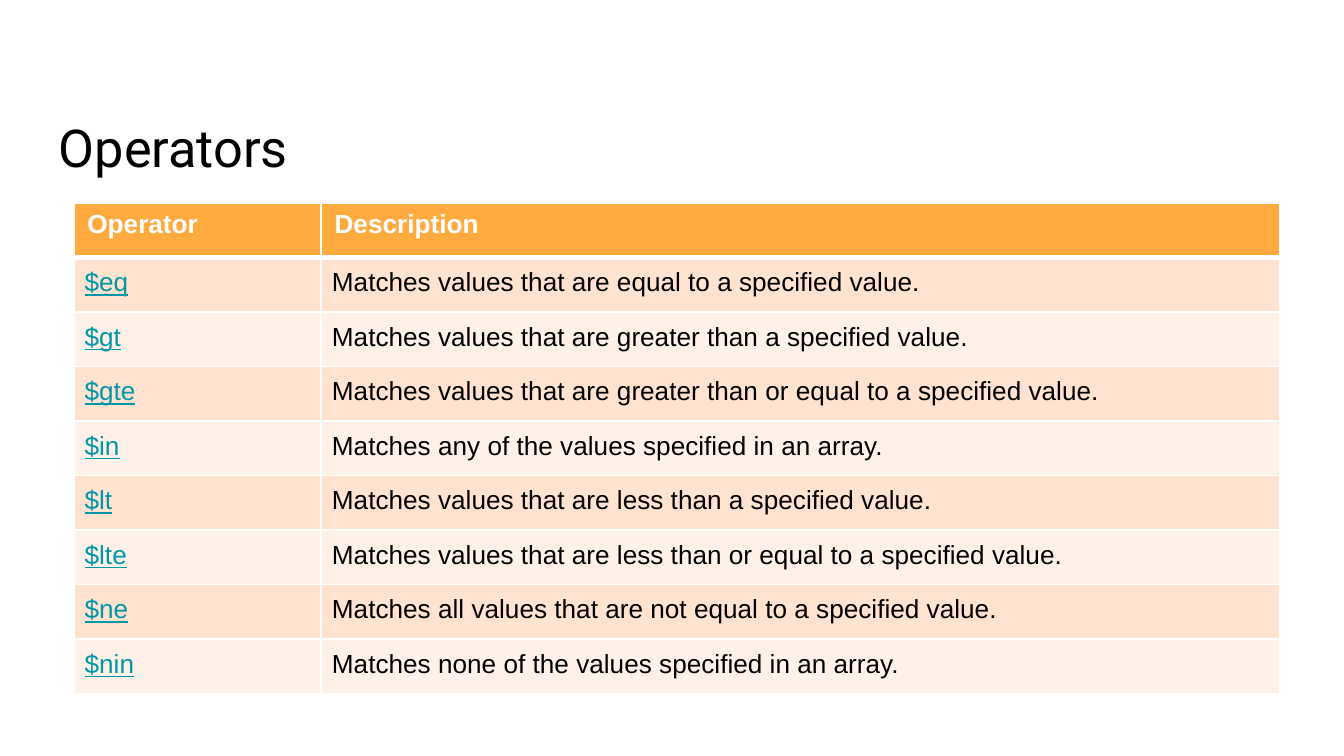
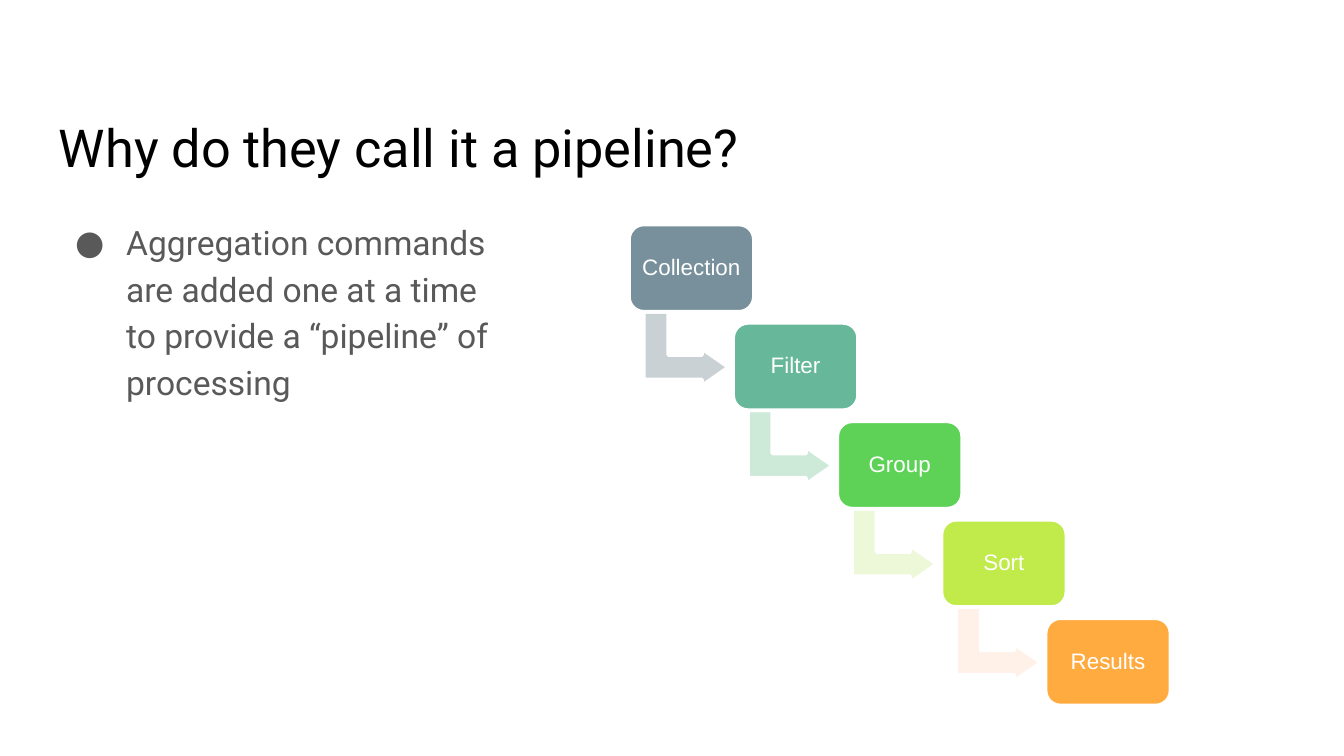
from dataclasses import dataclass

from lxml.etree import SubElement
from pptx import Presentation
from pptx.dml.color import RGBColor
from pptx.enum.shapes import MSO_SHAPE
from pptx.enum.text import MSO_ANCHOR, PP_ALIGN
from pptx.oxml.ns import qn
from pptx.util import Inches, Pt


@dataclass(frozen=True)
class Theme:
    title_font: str = "Roboto"
    label_font: str = "Arial"
    title_size: int = 28
    body_size: int = 18
    table_size: int = 14
    step_size: int = 12
    black: str = "000000"
    white: str = "FFFFFF"
    grey: str = "595959"
    link: str = "0097A7"
    orange: str = "FFAB40"
    bands: tuple = ("FFE2CF", "FFF1E8")


THEME = Theme()

OPERATORS = [
    ("$eq", "Matches values that are equal to a specified value."),
    ("$gt", "Matches values that are greater than a specified value."),
    ("$gte", "Matches values that are greater than or equal to a specified value."),
    ("$in", "Matches any of the values specified in an array."),
    ("$lt", "Matches values that are less than a specified value."),
    ("$lte", "Matches values that are less than or equal to a specified value."),
    ("$ne", "Matches all values that are not equal to a specified value."),
    ("$nin", "Matches none of the values specified in an array."),
]

# Label, box colour, colour of the arrow to the next step
STEPS = [
    ("Collection", "78909C", "CAD1D5"),
    ("Filter", "67B89B", "CDEAD8"),
    ("Group", "5ED257", "ECF8D7"),
    ("Sort", "C1EA4B", "FFF1E8"),
    ("Results", THEME.orange, None),
]


def set_font(p, name, size, color, bold=False):
    p.font.name = name
    p.font.size = Pt(size)
    p.font.bold = bold
    p.font.color.rgb = RGBColor.from_string(color)


def set_margins(frame, size):
    frame.margin_left = frame.margin_right = Inches(size)
    frame.margin_top = frame.margin_bottom = Inches(size)


def add_text(slide, box, text, size, color):
    tf = slide.shapes.add_textbox(*map(Inches, box)).text_frame
    tf.word_wrap = True
    set_margins(tf, 0.1)
    p = tf.paragraphs[0]
    p.text = text
    set_font(p, THEME.title_font, size, color)
    return p


def add_titled_slide(prs, title):
    slide = prs.slides.add_slide(prs.slide_layouts[6])
    add_text(slide, (0.34, 0.76, 9.32, 0.63), title, THEME.title_size, THEME.black)
    return slide


def set_borders(cell, bottom=1):
    """White borders go ahead of the fill, as the schema asks."""
    tc_pr = cell._tc.get_or_add_tcPr()
    widths = {"a:lnL": 1, "a:lnR": 1, "a:lnT": 1, "a:lnB": bottom}
    for i, (tag, width) in enumerate(widths.items()):
        ln = SubElement(tc_pr, qn(tag), w=str(Pt(width)))
        fill = SubElement(ln, qn("a:solidFill"))
        SubElement(fill, qn("a:srgbClr"), val=THEME.white)
        tc_pr.insert(i, ln)


def fill_cell(cell, text, fill, color, bold=False, underline=False):
    cell.fill.solid()
    cell.fill.fore_color.rgb = RGBColor.from_string(fill)
    p = cell.text_frame.paragraphs[0]
    p.text = text
    set_font(p, THEME.label_font, THEME.table_size, color, bold)
    p.font.underline = underline


def add_operator_table(slide, box):
    left, top, width, height = box
    rows = len(OPERATORS) + 1
    table = slide.shapes.add_table(rows, 2, *map(Inches, box)).table
    first = 1.84
    table.columns[0].width = Inches(first)
    table.columns[1].width = Inches(width - first)
    for row in table.rows:
        row.height = Inches(height / rows)

    # Header
    for c, text in enumerate(("Operator", "Description")):
        cell = table.cell(0, c)
        fill_cell(cell, text, THEME.orange, THEME.white, bold=True)
        set_borders(cell, bottom=3)

    # Banded rows, with the operator styled as a link
    for r, texts in enumerate(OPERATORS, 1):
        for c, text in enumerate(texts):
            cell = table.cell(r, c)
            is_link = c == 0
            fill_cell(cell, text, THEME.bands[(r - 1) % 2],
                      THEME.link if is_link else THEME.black, underline=is_link)
            set_margins(cell, 0.08)
            set_borders(cell)


def add_bullet(slide, box, text):
    p = add_text(slide, box, text, THEME.body_size, THEME.grey)
    p.line_spacing = 1.15
    p_pr = p._p.get_or_add_pPr()
    p_pr.set("marL", str(Inches(0.5)))
    p_pr.set("indent", str(Inches(-0.38)))
    # Bullet marks sit between the spacing and the default run style
    def_rpr = p_pr.find(qn("a:defRPr"))
    color = SubElement(p_pr, qn("a:buClr"))
    SubElement(color, qn("a:srgbClr"), val=THEME.grey)
    SubElement(p_pr, qn("a:buFont"), typeface=THEME.title_font)
    SubElement(p_pr, qn("a:buChar"), char="●")
    if def_rpr is not None:
        p_pr.append(def_rpr)


def add_filled(shapes, kind, box, fill, adjustments):
    sp = shapes.add_shape(kind, *map(Inches, box))
    sp.shadow.inherit = False
    sp.fill.solid()
    sp.fill.fore_color.rgb = RGBColor.from_string(fill)
    sp.line.color.rgb = RGBColor.from_string(THEME.white)
    sp.line.width = Pt(2)
    for i, value in enumerate(adjustments):
        sp.adjustments[i] = value
    return sp


def add_pipeline(slide, box):
    left, top, width, height = box
    step_w, step_h = 0.93, 0.65
    dx = (width - step_w) / (len(STEPS) - 1)
    dy = (height - step_h) / (len(STEPS) - 1)
    shapes = slide.shapes.add_group_shape().shapes
    for i, (label, fill, arrow_fill) in enumerate(STEPS):
        x, y = left + i * dx, top + i * dy

        # Arrow to the next step
        if arrow_fill:
            arrow = add_filled(shapes, MSO_SHAPE.BENT_UP_ARROW,
                               (x + 0.15, y + 0.61, 0.55, 0.63),
                               arrow_fill, (0.33, 0.25, 0.36))
            arrow.rotation = 90

        # Step box
        sp = add_filled(shapes, MSO_SHAPE.ROUNDED_RECTANGLE,
                        (x, y, step_w, step_h), fill, (0.17,))
        tf = sp.text_frame
        tf.word_wrap = True
        tf.vertical_anchor = MSO_ANCHOR.MIDDLE
        set_margins(tf, 0.05)
        p = tf.paragraphs[0]
        p.text = label
        p.alignment = PP_ALIGN.CENTER
        p.line_spacing = 0.9
        set_font(p, THEME.label_font, THEME.step_size, THEME.white)


def main():
    prs = Presentation()
    # Widescreen, 16:9
    prs.slide_width, prs.slide_height = Inches(10), Inches(10 * 9 / 16)

    slide = add_titled_slide(prs, "Operators")
    add_operator_table(slide, (0.55, 1.51, 8.97, 3.65))

    slide = add_titled_slide(prs, "Why do they call it a pipeline?")
    add_bullet(slide, (0.34, 1.51, 3.58, 0.92),
               "Aggregation commands are added one at a time "
               "to provide a “pipeline” of processing")
    add_pipeline(slide, (4.68, 1.67, 4.03, 3.58))

    prs.save("out.pptx")


if __name__ == "__main__":
    main()
